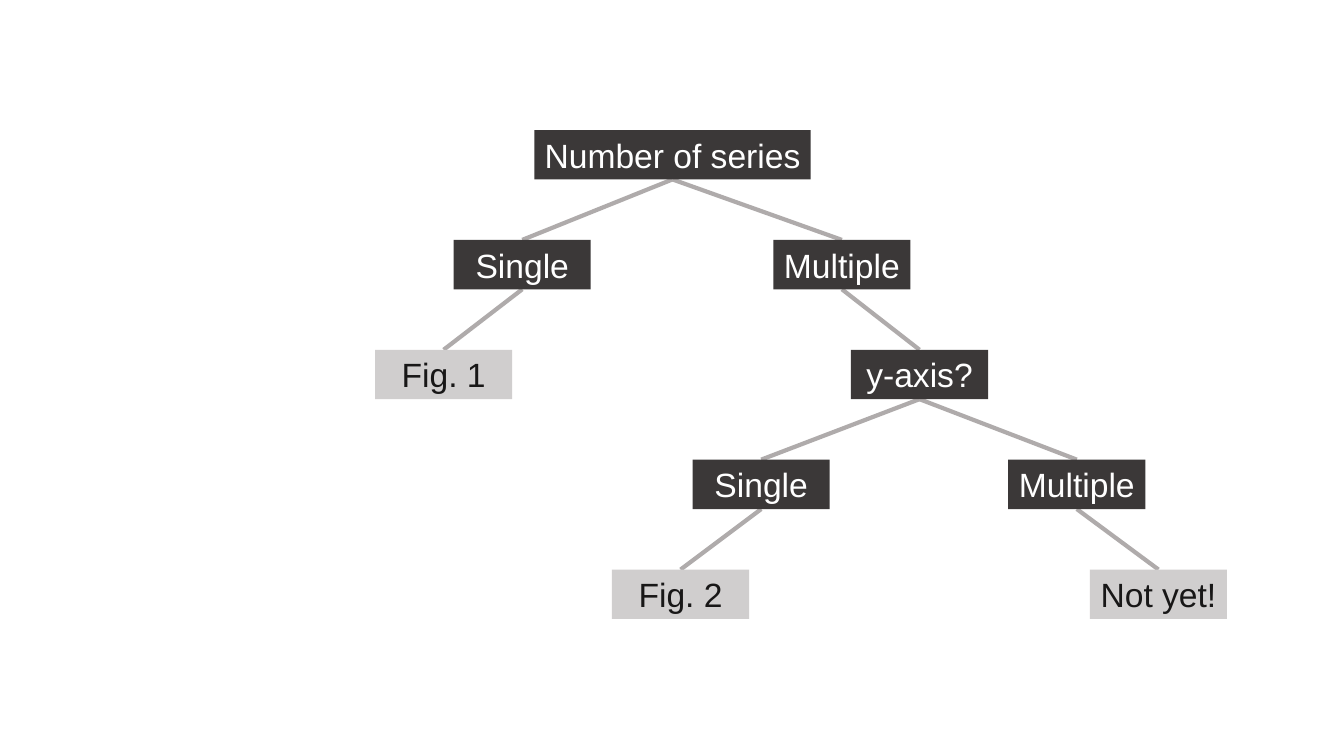
from dataclasses import dataclass
from typing import Optional

import pptx
import pptx.dml.color
import pptx.enum.shapes
import pptx.enum.text
import pptx.oxml
import pptx.util

EMU_PER_PX = 9144  # 100 px to the inch
SLIDE_WIDTH, SLIDE_HEIGHT = 1333, 750
TOP, LEVEL_STEP = 129, 109
NODE_WIDTH, ROOT_WIDTH, NODE_HEIGHT = 136, 274, 49
BOTTOM_SITE, TOP_SITE = 2, 0


@dataclass(frozen=True)
class Theme:
    font: str = "Arial"
    text_size: int = 24
    branch_weight: int = 3
    branch: str = "AFABAB"
    question_fill: str = "3B3838"
    question_text: str = "FFFFFF"
    answer_fill: str = "D0CECE"
    answer_text: str = "181717"


@dataclass(frozen=True)
class Node:
    label: str
    center: int
    level: int
    parent: Optional[int] = None  # index in DECISIONS
    is_answer: bool = False
    width: int = NODE_WIDTH


THEME = Theme()
DECISIONS = [
    Node("Number of series", 667, 0, width=ROOT_WIDTH),
    Node("Single", 518, 1, parent=0),
    Node("Multiple", 835, 1, parent=0),
    Node("Fig. 1", 440, 2, parent=1, is_answer=True),
    Node("y-axis?", 912, 2, parent=2),
    Node("Single", 755, 3, parent=4),
    Node("Multiple", 1068, 3, parent=4),
    Node("Fig. 2", 675, 4, parent=5, is_answer=True),
    Node("Not yet!", 1149, 4, parent=6, is_answer=True),
]


def px(length: int) -> pptx.util.Emu:
    return pptx.util.Emu(length * EMU_PER_PX)


def rgb(color: str) -> pptx.dml.color.RGBColor:
    return pptx.dml.color.RGBColor.from_string(color)


def write_text(shape, text: str, *, color: str, size: int = THEME.text_size,
               font: str = THEME.font) -> None:
    frame = shape.text_frame
    frame.word_wrap = False
    frame.vertical_anchor = pptx.enum.text.MSO_ANCHOR.MIDDLE
    frame.margin_top = frame.margin_bottom = 0
    paragraph = frame.paragraphs[0]
    paragraph.alignment = pptx.enum.text.PP_ALIGN.CENTER
    run = paragraph.add_run()
    run.text = text
    run.font.name = font
    run.font.size = pptx.util.Pt(size)
    run.font.color.rgb = rgb(color)


def draw_node(slide, node: Node):
    box = slide.shapes.add_shape(
        pptx.enum.shapes.MSO_SHAPE.RECTANGLE,
        px(node.center - node.width // 2), px(TOP + node.level * LEVEL_STEP),
        px(node.width), px(NODE_HEIGHT))
    box.shadow.inherit = False
    box.fill.solid()
    box.fill.fore_color.rgb = rgb(THEME.answer_fill if node.is_answer else THEME.question_fill)
    box.line.fill.background()
    write_text(box, node.label,
               color=THEME.answer_text if node.is_answer else THEME.question_text)
    return box


def draw_branch(slide, parent, child) -> None:
    branch = slide.shapes.add_connector(pptx.enum.shapes.MSO_CONNECTOR.STRAIGHT, 0, 0, 0, 0)
    branch.begin_connect(parent, BOTTOM_SITE)
    branch.end_connect(child, TOP_SITE)
    branch.line.color.rgb = rgb(THEME.branch)
    branch.line.width = pptx.util.Pt(THEME.branch_weight)
    branch.element.spPr.append(pptx.oxml.parse_xml(
        '<a:effectLst xmlns:a="http://schemas.openxmlformats.org/drawingml/2006/main"/>'))


def bring_to_front(shape) -> None:
    shape.element.getparent().append(shape.element)


def main() -> None:
    presentation = pptx.Presentation()
    presentation.slide_width = px(SLIDE_WIDTH)
    presentation.slide_height = px(SLIDE_HEIGHT)
    slide = presentation.slides.add_slide(presentation.slide_layouts[6])

    boxes = [draw_node(slide, node) for node in DECISIONS]
    for node, box in zip(DECISIONS, boxes):
        if node.parent is not None:
            draw_branch(slide, boxes[node.parent], box)
    for box in boxes:
        bring_to_front(box)

    presentation.save("out.pptx")


if __name__ == "__main__":
    main()
